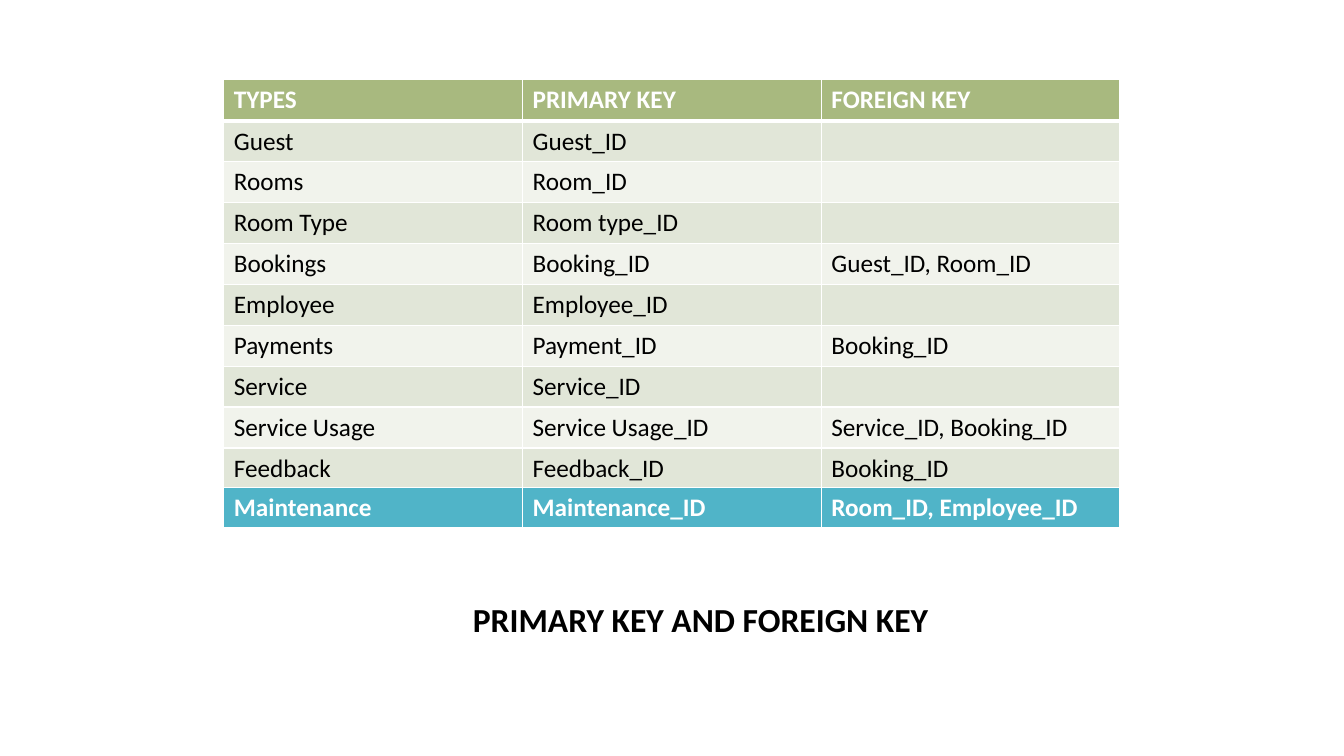
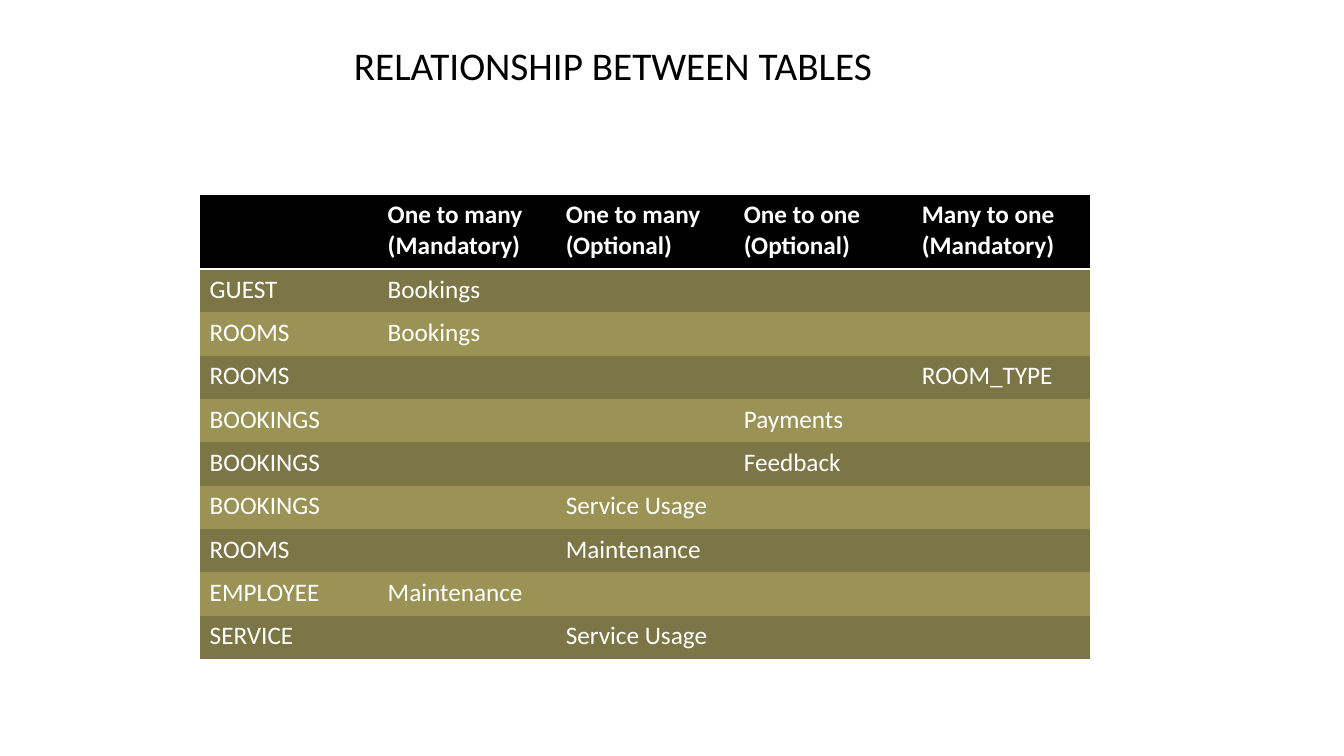
"""Build two slides on database keys and table relationships."""
import pptx
import pptx.dml.color
import pptx.enum.text
import pptx.oxml
import pptx.oxml.ns
import pptx.util

PX = 9144
FONT = "Calibri"
NO_GRID = "{2D5ABB26-0587-4C30-8999-92F81FD0307C}"
C = {
    "black": "000000", "white": "FFFFFF",
    "green": "A8B97F", "sage": "E1E6D8", "mist": "F1F3EC", "teal": "50B4C8",
    "olive": "7C7545", "khaki": "9B9256",
}


def write(tf, text, size=18, color="black", bold=False):
    tf.word_wrap = True
    for i, line in enumerate(text.split("\n")):
        p = tf.paragraphs[0] if i == 0 else tf.add_paragraph()
        p.alignment = pptx.enum.text.PP_ALIGN.LEFT
        r = p.add_run()
        r.text = line
        r.font.name = FONT
        r.font.size = pptx.util.Pt(size)
        r.font.bold = bold
        r.font.color.rgb = pptx.dml.color.RGBColor.from_string(C[color])


def add_grid(s, box, rows, head_h, head, bands, ink, head_lines, body_lines):
    x, y, w, h = (v * PX for v in box)
    n = len(rows[0])
    gf = s.shapes.add_table(len(rows), n, x, y, w, h)
    tbl = gf.table
    tbl.horz_banding = False
    style = gf._element.find(".//" + pptx.oxml.ns.qn("a:tableStyleId"))
    style.text = NO_GRID
    for col in tbl.columns:
        col.width = w // n
    for i, row in enumerate(rows):
        is_head = i == 0
        tbl.rows[i].height = head_h * PX if is_head else (h - head_h * PX) // (len(rows) - 1)
        fill = head if is_head else bands[(i - 1) % 2]
        for j, text in enumerate(row):
            cell = tbl.cell(i, j)
            tcPr = cell._tc.get_or_add_tcPr()
            for side, pt in (head_lines if is_head else body_lines).items():
                tcPr.append(pptx.oxml.parse_xml(
                    f'<a:ln{side} {pptx.oxml.ns.nsdecls("a")} w="{pt * 12700}"><a:solidFill>'
                    f'<a:srgbClr val="{C["white"]}"/></a:solidFill></a:ln{side}>'))
            cell.fill.solid()
            cell.fill.fore_color.rgb = pptx.dml.color.RGBColor.from_string(C[fill])
            if text:
                write(cell.text_frame, text, color="white" if is_head else ink, bold=is_head)


prs = pptx.Presentation()
prs.slide_width = 1333 * PX
prs.slide_height = 750 * PX

titles = [
    ("PRIMARY KEY AND FOREIGN KEY", (459, 589, 874, 50), 24, True),
    ("RELATIONSHIP BETWEEN TABLES", (341, 36, 992, 57), 28, False),
]
for text, box, size, bold in titles:
    s = prs.slides.add_slide(prs.slide_layouts[5])
    sp = s.shapes.title
    sp.left, sp.top, sp.width, sp.height = (v * PX for v in box)
    tf = sp.text_frame
    tf.auto_size = pptx.enum.text.MSO_AUTO_SIZE.SHAPE_TO_FIT_TEXT
    tf.vertical_anchor = pptx.enum.text.MSO_ANCHOR.TOP
    write(tf, text, size=size, bold=bold)

keys = [
    ("TYPES", "PRIMARY KEY", "FOREIGN KEY"),
    ("Guest", "Guest_ID", ""),
    ("Rooms", "Room_ID", ""),
    ("Room Type", "Room type_ID", ""),
    ("Bookings", "Booking_ID", "Guest_ID, Room_ID"),
    ("Employee", "Employee_ID", ""),
    ("Payments", "Payment_ID", "Booking_ID"),
    ("Service", "Service_ID", ""),
    ("Service Usage", "Service Usage_ID", "Service_ID, Booking_ID"),
    ("Feedback", "Feedback_ID", "Booking_ID"),
]
maintenance = [("Maintenance", "Maintenance_ID", "Room_ID, Employee_ID")]
relations = [
    ("", "One to many (Mandatory)", "One to many (Optional)", "One to one (Optional)",
     "Many to one\n(Mandatory)"),
    ("GUEST", "Bookings", "", "", ""),
    ("ROOMS", "Bookings", "", "", ""),
    ("ROOMS", "", "", "", "ROOM_TYPE"),
    ("BOOKINGS", "", "", "Payments", ""),
    ("BOOKINGS", "", "", "Feedback", ""),
    ("BOOKINGS", "", "Service Usage", "", ""),
    ("ROOMS", "", "Maintenance", "", ""),
    ("EMPLOYEE", "Maintenance", "", "", ""),
    ("SERVICE", "", "Service Usage", "", ""),
]

head_lines = {"L": 1, "R": 1, "T": 1, "B": 3}
body_lines = {"L": 1, "R": 1, "B": 1}
keys_slide, relations_slide = prs.slides
add_grid(keys_slide, (222, 79, 889, 406), keys, 41, "green", ("sage", "mist"), "black",
         head_lines, body_lines)
add_grid(keys_slide, (222, 484, 889, 41), maintenance, 41, "teal", (), "white",
         head_lines, body_lines)
add_grid(relations_slide, (198, 193, 883, 461), relations, 74, "black", ("olive", "khaki"),
         "white", {"B": 2}, {})

prs.save("out.pptx")
